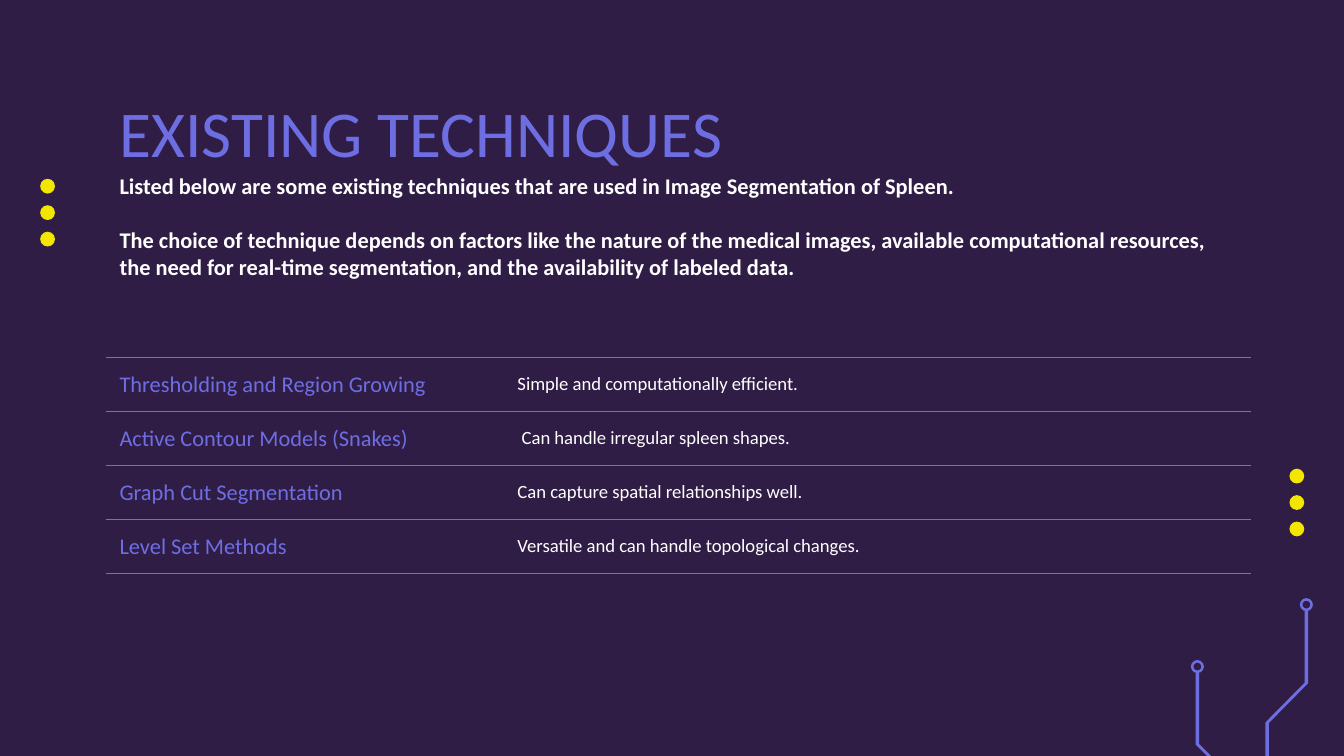
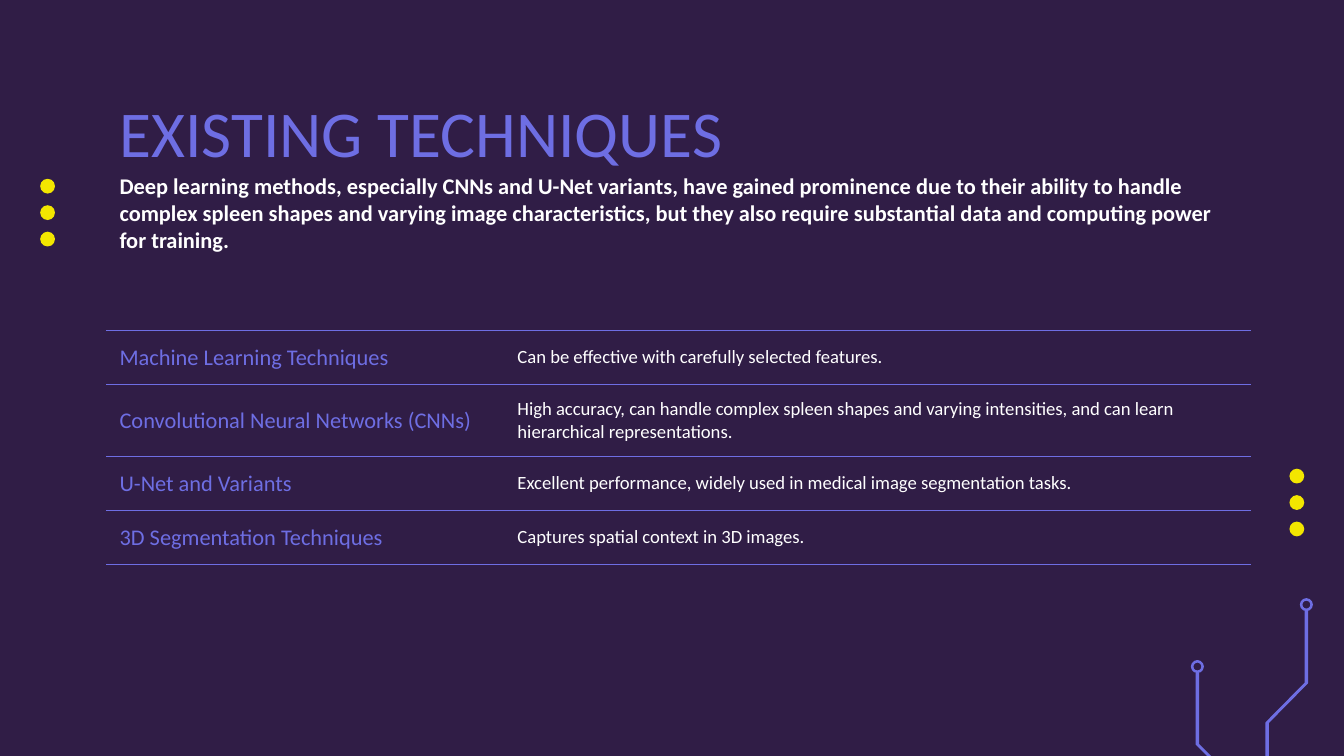
"""Build two slides that list existing techniques for spleen segmentation."""
from lxml import etree
from pptx import Presentation
from pptx.dml.color import RGBColor
from pptx.enum.shapes import MSO_SHAPE
from pptx.enum.text import MSO_ANCHOR, MSO_AUTO_SIZE, PP_ALIGN
from pptx.oxml import parse_xml
from pptx.util import Cm, Pt

OVAL, RING = MSO_SHAPE.OVAL, MSO_SHAPE.DONUT
TOP, MID, LEFT, FIXED = MSO_ANCHOR.TOP, MSO_ANCHOR.MIDDLE, PP_ALIGN.LEFT, MSO_AUTO_SIZE.NONE
NIGHT, VIOLET, YELLOW, WHITE = "301D46", "6E6EE3", "F3E600", "FFFFFF"
FONT = "Calibri"
PAD = Cm(0.25)
EDGE, WIDE = 2.01, 21.41
TITLE = "EXISTING TECHNIQUES"
PLAIN = "{2D5ABB26-0587-4C30-8999-92F81FD0307C}"
SPACE = "http://schemas.openxmlformats.org/drawingml/2006/main"
DOTS = [(0.76, 3.38), (24.37, 8.86)]
WIRES = [
    [(22.63, 12.72), (22.63, 14.07), (23.38, 14.82), (23.38, 17.52), (22.52, 18.38)],
    [(24.69, 11.55), (24.69, 12.91), (23.95, 13.66), (23.95, 16.36), (24.81, 17.22)],
]
PAGES = [
    {
        "intro": [
            "Listed below are some existing techniques that are used in Image Segmentation of Spleen.",
            "The choice of technique depends on factors like the nature of the medical images, "
            "available computational resources, the need for real-time segmentation, "
            "and the availability of labeled data.",
        ],
        "top": 5.73,
        "rows": [
            ("Thresholding and Region Growing", "Simple and computationally efficient."),
            ("Active Contour Models (Snakes)", " Can handle irregular spleen shapes."),
            ("Graph Cut Segmentation", "Can capture spatial relationships well."),
            ("Level Set Methods", "Versatile and can handle topological changes."),
        ],
    },
    {
        "intro": [
            "Deep learning methods, especially CNNs and U-Net variants, have gained prominence "
            "due to their ability to handle complex spleen shapes and varying image characteristics, "
            "but they also require substantial data and computing power for training.",
        ],
        "top": 5.22,
        "rows": [
            ("Machine Learning Techniques", "Can be effective with carefully selected features."),
            ("Convolutional Neural Networks (CNNs)",
             "High accuracy, can handle complex spleen shapes and varying intensities, "
             "and can learn hierarchical representations."),
            ("U-Net and Variants",
             "Excellent performance, widely used in medical image segmentation tasks."),
            ("3D Segmentation Techniques", "Captures spatial context in 3D images."),
        ],
    },
]


def paint(target, shade):
    target.solid()
    target.fore_color.rgb = RGBColor.from_string(shade)


def place(shape, left, top, width, height):
    shape.left, shape.top = Cm(left), Cm(top)
    shape.width, shape.height = Cm(width), Cm(height)


class Deck:
    def __init__(self):
        self.prs = Presentation()
        self.prs.slide_width, self.prs.slide_height = Cm(25.4), Cm(14.29)
        paint(self.prs.slide_master.background.fill, NIGHT)
        self.slide = None

    def page(self):
        self.slide = self.prs.slides.add_slide(self.prs.slide_layouts[5])
        for left, top in DOTS:
            for step in range(3):
                self.mark(OVAL, left, top + step * 0.5, 0.28, YELLOW)
        for path in WIRES:
            self.wire(path)
            x, y = path[0]
            ring = self.mark(RING, x - 0.11, y - 0.23, 0.22, VIOLET)
            ring.adjustments[0] = 0.1
            self.line(ring)

    def line(self, shape):
        paint(shape.line.fill, VIOLET)
        shape.line.width = Pt(0.75)

    def mark(self, kind, left, top, size, shade):
        shape = self.slide.shapes.add_shape(kind, Cm(left), Cm(top), Cm(size), Cm(size))
        shape.shadow.inherit = False
        paint(shape.fill, shade)
        shape.line.fill.background()
        return shape

    def wire(self, path):
        near = [(Cm(x - 0.02), Cm(y)) for x, y in path]
        far = [(Cm(x + 0.02), Cm(y)) for x, y in reversed(path)]
        pen = self.slide.shapes.build_freeform(*near[0])
        pen.add_line_segments(near[1:] + far, close=True)
        shape = pen.convert_to_shape()
        shape.shadow.inherit = False
        paint(shape.fill, VIOLET)
        self.line(shape)

    def style(self, para, size, shade, bold=False):
        para.alignment = LEFT
        for run in para.runs:
            run.font.name, run.font.size, run.font.bold = FONT, Pt(size), bold
            paint(run.font.fill, shade)

    def frame(self, shape):
        frame = shape.text_frame
        frame.word_wrap, frame.auto_size = True, FIXED
        frame.vertical_anchor = TOP
        frame.margin_left = frame.margin_right = PAD
        frame.margin_top = frame.margin_bottom = PAD
        return frame

    def title(self, text):
        shape = self.slide.shapes.title
        place(shape, EDGE, 1.5, WIDE, 1.6)
        frame = self.frame(shape)
        frame.text = text
        self.style(frame.paragraphs[0], 35, VIOLET)

    def intro(self, parts):
        box = self.slide.shapes.add_textbox(Cm(EDGE), Cm(3), Cm(WIDE), Cm(1.3))
        frame = self.frame(box)
        frame.text = "\n".join(parts)
        for para in frame.paragraphs:
            self.style(para, 12, WHITE, True)
        for para in frame.paragraphs[1:]:
            para.space_before = Pt(14.5)

    def rule(self, cell, sides):
        props = cell._tc.get_or_add_tcPr()
        for spot, side in enumerate(sides):
            props.insert(spot, parse_xml(
                f'<a:ln{side} xmlns:a="{SPACE}" w="9525"><a:solidFill>'
                f'<a:srgbClr val="{VIOLET}"/></a:solidFill></a:ln{side}>'))

    def cell(self, cell, text, size, shade):
        cell.text = text
        cell.vertical_anchor = MID
        cell.margin_left = cell.margin_right = PAD
        cell.margin_top = cell.margin_bottom = PAD
        self.style(cell.text_frame.paragraphs[0], size, shade)

    def table(self, top, rows):
        last = len(rows) + 1
        shape = self.slide.shapes.add_table(
            last + 1, 2, Cm(EDGE), Cm(top), Cm(21.64), Cm(1.02 * (last + 1)))
        table = shape.table
        table.first_row = table.horz_banding = False
        props = table._tbl.tblPr
        for old in list(props):
            props.remove(old)
        etree.SubElement(props, f"{{{SPACE}}}tableStyleId").text = PLAIN
        for col, width in zip(table.columns, (7.52, 14.12)):
            col.width = Cm(width)
        for at, row in enumerate(table.rows):
            sides = "B" if at == 0 else "T" if at == last else "TB"
            for cell in row.cells:
                cell.fill.background()
                self.rule(cell, sides)
        for at, (name, note) in enumerate(rows, 1):
            self.cell(table.cell(at, 0), name, 12, VIOLET)
            self.cell(table.cell(at, 1), note, 10, WHITE)
            if len(note) > 90:
                table.rows[at].height = Cm(1.36)


def main():
    deck = Deck()
    for page in PAGES:
        deck.page()
        deck.title(TITLE)
        deck.intro(page["intro"])
        deck.table(page["top"], page["rows"])
    deck.prs.save("out.pptx")


if __name__ == "__main__":
    main()
